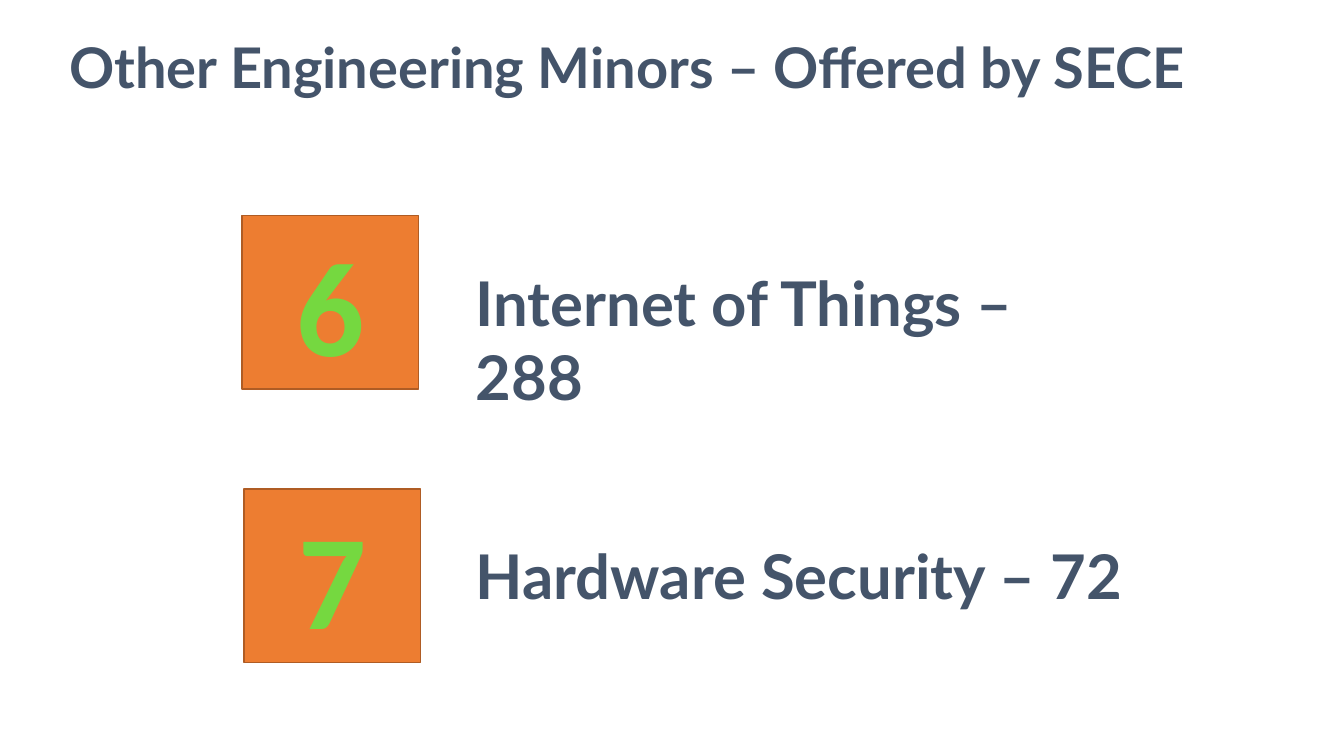
from copy import deepcopy

from pptx import Presentation
from pptx.dml.color import RGBColor
from pptx.enum.shapes import MSO_SHAPE
from pptx.enum.text import MSO_ANCHOR, MSO_AUTO_SIZE, PP_ALIGN
from pptx.oxml.ns import qn
from pptx.util import Inches, Pt

# Content
TITLE = "Other Engineering Minors – Offered by SECE"
# number, minor, tile left, tile top, label width
MINORS = [
    ("6", "Internet of Things – 288", 2.40, 2.14, 6.53),
    ("7", "Hardware Security – 72", 2.42, 4.85, 7.00),
]

# Colours and sizes
SLATE = RGBColor(0x44, 0x54, 0x6A)
ORANGE = RGBColor(0xED, 0x7D, 0x31)
BROWN = RGBColor(0xAF, 0x5C, 0x24)
GREENS = [
    (0, RGBColor(0x33, 0x6F, 0x0A)),
    (0.78, RGBColor(0x75, 0xD8, 0x40)),
    (1, RGBColor(0xF2, 0xFB, 0xEE)),
]
TILE_W, TILE_H = 1.75, 1.72
LABEL_LEFT, LABEL_H = 4.62, 0.84


def add_run(tf, text, font, size):
    r = tf.paragraphs[0].add_run()
    r.text = text
    r.font.name = font
    r.font.size = Pt(size)
    r.font.bold = True
    return r


def add_heading(s, text, left, top, width, height, size):
    tf = s.shapes.add_textbox(
        Inches(left), Inches(top), Inches(width), Inches(height)).text_frame
    tf.word_wrap = True
    tf.auto_size = MSO_AUTO_SIZE.SHAPE_TO_FIT_TEXT
    r = add_run(tf, text, "Lato", size)
    r.font.color.rgb = SLATE


def fill_green(font):
    fill = font.fill
    fill.gradient()
    fill.gradient_angle = 270  # counter-clockwise, so dark green is on top
    stop_list = font._element.find(".//" + qn("a:gsLst"))
    stop_list.append(deepcopy(stop_list[-1]))
    for stop, (position, color) in zip(fill.gradient_stops, GREENS):
        stop.position = position
        stop.color.rgb = color


def add_tile(s, number, left, top):
    sp = s.shapes.add_shape(MSO_SHAPE.RECTANGLE, Inches(left), Inches(top),
                            Inches(TILE_W), Inches(TILE_H))
    sp.shadow.inherit = False
    sp.fill.solid()
    sp.fill.fore_color.rgb = ORANGE
    sp.line.color.rgb = BROWN
    sp.line.width = Pt(1)
    tf = sp.text_frame
    tf.word_wrap = True
    tf.auto_size = MSO_AUTO_SIZE.SHAPE_TO_FIT_TEXT
    tf.vertical_anchor = MSO_ANCHOR.MIDDLE
    tf.paragraphs[0].alignment = PP_ALIGN.CENTER
    fill_green(add_run(tf, number, "Calibri", 96).font)


def main():
    prs = Presentation()
    prs.slide_width, prs.slide_height = Inches(13.33), Inches(7.5)
    s = prs.slides.add_slide(prs.slide_layouts[6])

    # Title
    add_heading(s, TITLE, 0.59, 0.27, 12.2, 0.77, 40)

    # Numbered minors, each label centred on its tile
    for number, minor, left, top, width in MINORS:
        add_tile(s, number, left, top)
        label_top = top + (TILE_H - LABEL_H) / 2
        add_heading(s, minor, LABEL_LEFT, label_top, width, LABEL_H, 44)

    prs.save("out.pptx")


if __name__ == "__main__":
    main()
